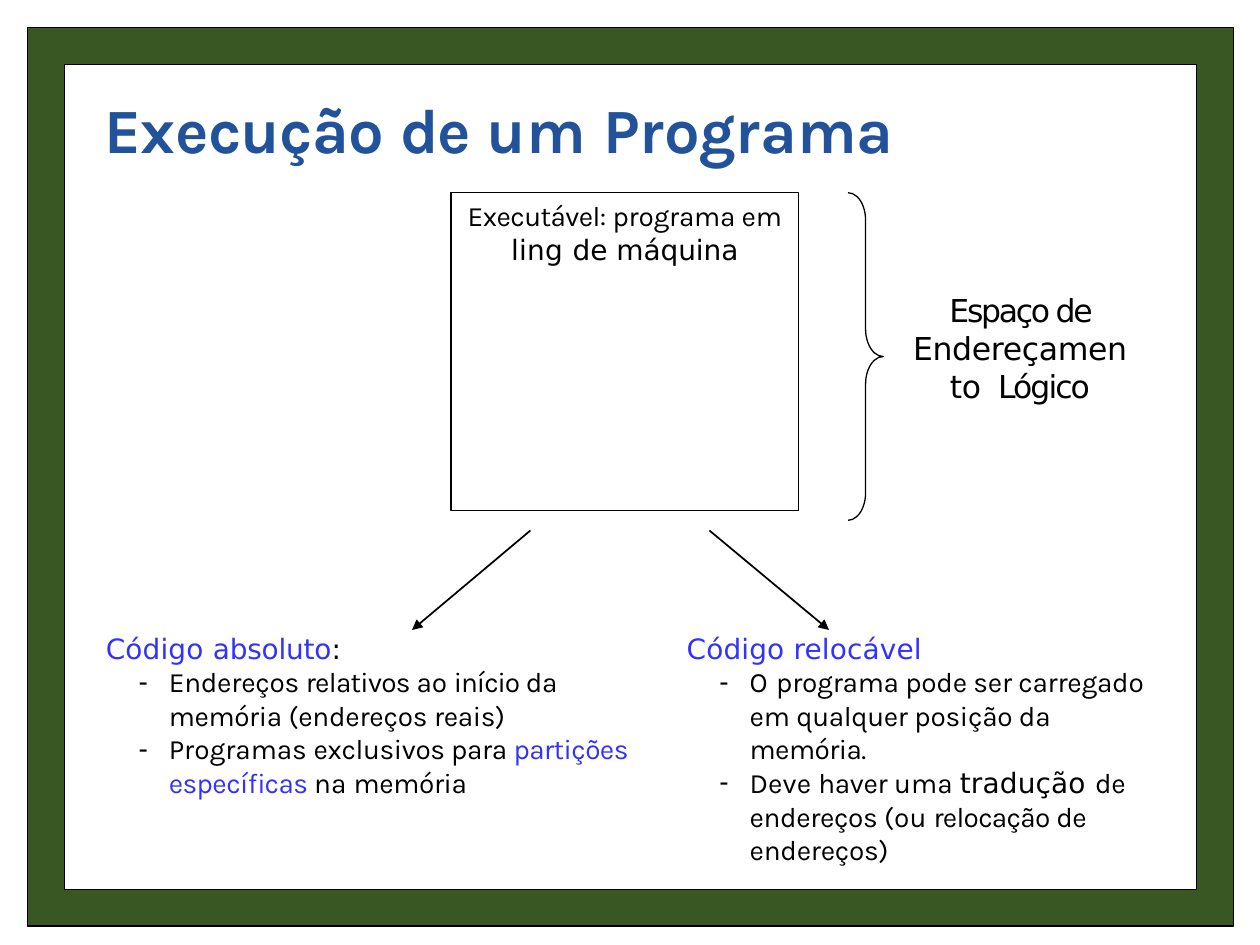
from lxml import etree
from pptx import Presentation
from pptx.dml.color import RGBColor
from pptx.enum.shapes import MSO_CONNECTOR, MSO_SHAPE
from pptx.enum.text import MSO_ANCHOR, MSO_AUTO_SIZE, PP_ALIGN
from pptx.oxml.ns import qn
from pptx.util import Inches, Pt

LEFT, CENTER = PP_ALIGN.LEFT, PP_ALIGN.CENTER
TOP, MIDDLE = MSO_ANCHOR.TOP, MSO_ANCHOR.MIDDLE
NO_AUTOFIT = MSO_AUTO_SIZE.NONE
STRAIGHT = MSO_CONNECTOR.STRAIGHT
FRAME, RECTANGLE, BRACE = MSO_SHAPE.FRAME, MSO_SHAPE.RECTANGLE, MSO_SHAPE.RIGHT_BRACE
KARLA, DEJAVU = "Karla", "DejaVu Sans"
BLACK, WHITE, GREEN = "000000", "FFFFFF", "385723"
TITLE_BLUE, BLUE = "21529A", "3232FF"


def color(value):
    return RGBColor.from_string(value)


class SlideBuilder:
    """Holds the text style and the slide being filled."""

    def __init__(self, slide, size=16):
        self.slide = slide
        self.size = size

    def place(self, shape, left, top, width, height):
        shape.left, shape.top = Inches(left), Inches(top)
        shape.width, shape.height = Inches(width), Inches(height)

    def frame_text(self, shape, anchor=TOP, inset=0.01):
        frame = shape.text_frame
        frame.word_wrap = True
        frame.auto_size = NO_AUTOFIT
        frame.vertical_anchor = anchor
        frame.margin_left = frame.margin_right = frame.margin_bottom = 0
        frame.margin_top = Inches(inset)
        return frame

    def paragraph(self, frame, runs, align=LEFT, margin=0, indent=0, before=0,
                  bullet=None, size=None, bold=False):
        """Each run is (text, spacing in points, font, colour)."""
        first = frame.paragraphs[0]
        paragraph = frame.add_paragraph() if first.runs else first
        paragraph.alignment = align
        paragraph.space_before = Pt(before)
        properties = paragraph._p.get_or_add_pPr()
        properties.set("marL", str(Inches(margin)))
        properties.set("indent", str(Inches(indent)))
        if bullet:
            etree.SubElement(properties, qn("a:buChar")).set("char", bullet)
        else:
            etree.SubElement(properties, qn("a:buNone"))
        for text, spacing, font, text_color in runs:
            run = paragraph.add_run()
            run.text = text
            run.font.name = font
            run.font.size = Pt(size or self.size)
            run.font.bold = bold
            run.font.color.rgb = color(text_color)
            run._r.get_or_add_rPr().set("spc", str(round(spacing * 100)))

    def shape(self, kind, left, top, width, height, fill=None, line_width=0.75):
        shape = self.slide.shapes.add_shape(
            kind, Inches(left), Inches(top), Inches(width), Inches(height))
        shape.shadow.inherit = False
        if fill:
            shape.fill.solid()
            shape.fill.fore_color.rgb = color(fill)
        else:
            shape.fill.background()
        shape.line.color.rgb = color(BLACK)
        shape.line.width = Pt(line_width)
        return shape

    def text_box(self, left, top, width, height):
        box = self.slide.shapes.add_textbox(
            Inches(left), Inches(top), Inches(width), Inches(height))
        return self.frame_text(box)

    def arrow(self, start, end):
        points = [Inches(value) for value in (*start, *end)]
        connector = self.slide.shapes.add_connector(STRAIGHT, *points)
        connector.line.color.rgb = color(BLACK)
        connector.line.width = Pt(1)
        line = connector.line._get_or_add_ln()
        etree.SubElement(line, qn("a:tailEnd")).set("type", "triangle")
        etree.SubElement(connector._element.spPr, qn("a:effectLst"))

    def title(self, runs, *box):
        shape = self.slide.shapes.title
        self.place(shape, *box)
        self.paragraph(self.frame_text(shape, MIDDLE), runs, size=36, bold=True)

    def bullet_list(self, index, heading, items, *box):
        shape = self.slide.placeholders[index]
        self.place(shape, *box)
        frame = self.frame_text(shape)
        self.paragraph(frame, heading, margin=0.01, before=0.9)
        for runs in items:
            self.paragraph(frame, runs, margin=0.51, indent=-0.24, bullet="-")


def main():
    presentation = Presentation()
    presentation.slide_width, presentation.slide_height = Inches(10), Inches(7.5)
    two_content = presentation.slide_layouts[3]
    builder = SlideBuilder(presentation.slides.add_slide(two_content))

    # Green border and title
    border = builder.shape(FRAME, 0.22, 0.22, 9.57, 7.13, GREEN)
    border.adjustments[0] = 0.041
    title_parts = [("Execução ", -0.3), ("de ", -0.5), ("um ", 0.3), ("Programa", -0.1)]
    builder.title([(*part, KARLA, TITLE_BLUE) for part in title_parts],
                  0.83, 0.7, 6.38, 0.62)

    # Executable program
    executable = builder.shape(RECTANGLE, 3.58, 1.53, 2.76, 2.52, WHITE)
    frame = builder.frame_text(executable, inset=0.05)
    builder.paragraph(frame, [("Executável: ", -0.3, KARLA, BLACK),
                              ("programa em", -0.1, KARLA, BLACK)], CENTER, before=0.9)
    builder.paragraph(frame, [("ling ", 0.2, DEJAVU, BLACK),
                              ("de máquina", 0, DEJAVU, BLACK)], CENTER)

    # Logical address space
    brace = builder.shape(BRACE, 6.73, 1.53, 0.28, 2.6)
    brace.adjustments[0] = 0.78
    frame = builder.text_box(7.23, 2.3, 1.73, 0.91)
    space_parts = [("Espaço de ", -1.3), ("Endereçamento", -0.2), (" ", 4), ("Lógico", -1.1)]
    builder.paragraph(frame, [(*part, DEJAVU, BLACK) for part in space_parts],
                      CENTER, indent=-0.15, size=18)

    # Arrows to the two kinds of code
    builder.arrow((4.21, 4.21), (3.27, 5))
    builder.arrow((5.63, 4.21), (6.58, 5))

    # Absolute code
    builder.bullet_list(
        1,
        [("Código ", 0.1, DEJAVU, BLUE), ("absoluto", -0.1, DEJAVU, BLUE),
         (":", -0.1, DEJAVU, BLACK)],
        [[("Endereços ", -0.1, KARLA, BLACK), ("relativos ", -0.4, KARLA, BLACK),
          ("ao ", 0, KARLA, BLACK), ("início ", -0.6, KARLA, BLACK),
          ("da ", -0.1, KARLA, BLACK), ("memória ", -0.2, KARLA, BLACK),
          ("(endereços ", -0.1, KARLA, BLACK), ("reais)", -0.2, KARLA, BLACK)],
         [("Programas ", 0, KARLA, BLACK), ("exclusivos para ", -0.2, KARLA, BLACK),
          ("partições específicas ", -0.3, KARLA, BLUE),
          ("na ", 0.1, KARLA, BLACK), ("memória", -0.2, KARLA, BLACK)]],
        0.83, 5, 4.22, 1.36)

    # Relocatable code
    builder.bullet_list(
        2,
        [("Código relocável", 0.1, DEJAVU, BLUE)],
        [[("O ", 0.5, KARLA, BLACK),
          ("programa pode ser carregado em ", -0.1, KARLA, BLACK),
          ("qualquer ", -0.2, KARLA, BLACK), ("posição da ", -0.1, KARLA, BLACK),
          ("memória.", -0.3, KARLA, BLACK)],
         [("Deve ", 0.1, KARLA, BLACK), ("haver ", -0.2, KARLA, BLACK),
          ("uma ", 0.1, KARLA, BLACK), ("tradução ", 0.1, DEJAVU, BLACK),
          ("de endereços ", -0.2, KARLA, BLACK), ("(ou ", 0.1, KARLA, BLACK),
          ("relocação ", -0.4, KARLA, BLACK), ("de ", -0.2, KARLA, BLACK),
          ("endereços)", -0.1, KARLA, BLACK)]],
        5.44, 5, 3.86, 1.63)

    presentation.save("out.pptx")


if __name__ == "__main__":
    main()
